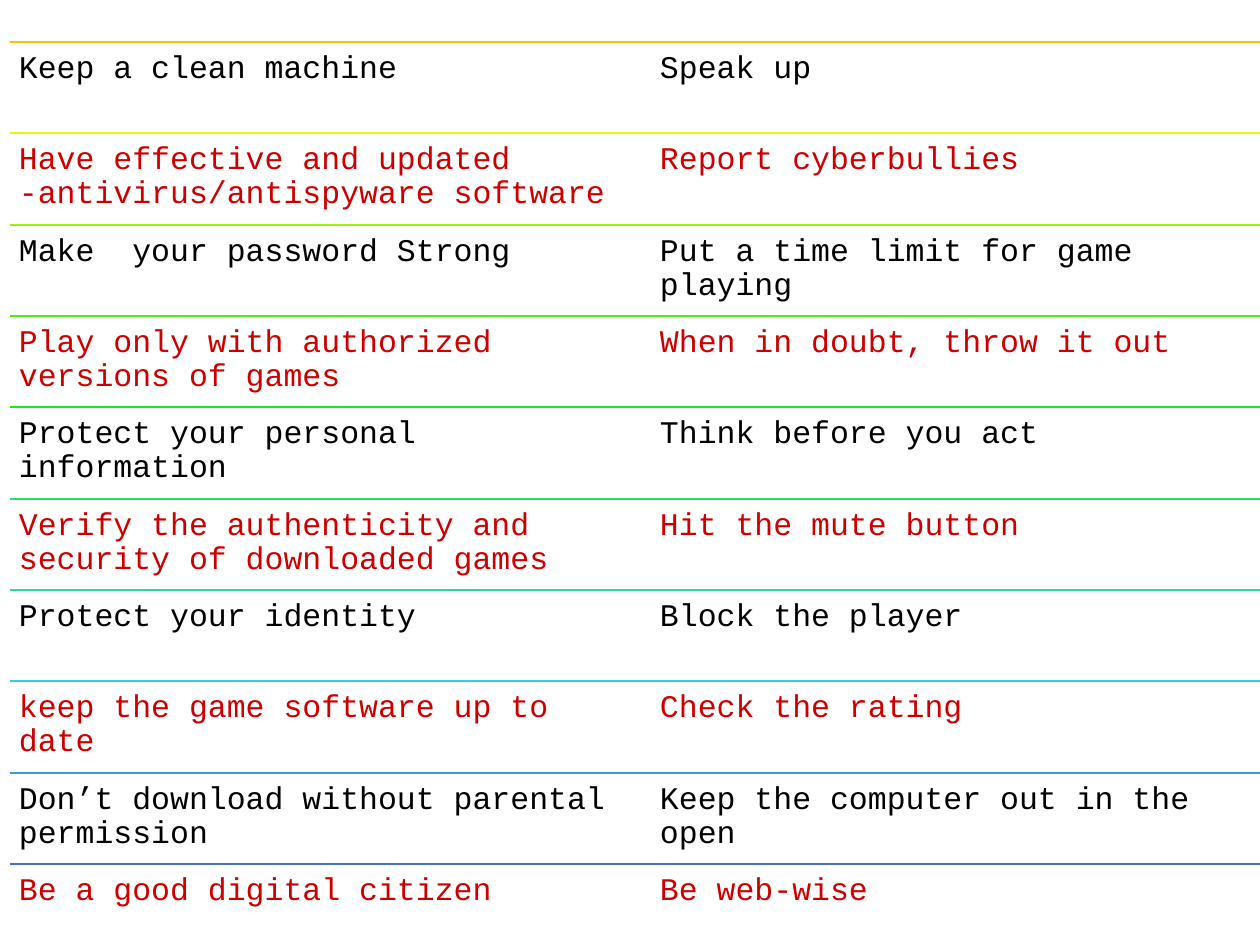
from dataclasses import dataclass

from lxml import etree
from pptx import Presentation
from pptx import util as u
from pptx.dml.color import RGBColor
from pptx.enum import shapes, text
from pptx.oxml.ns import qn
from pptx.shapes.group import GroupShape

PX = 914400 / 126
FIRST_TOP = 42
LAST_TOP = 864
ROW_HEIGHT = 91
INSET = 9
RULE_COLOURS = ["FFC000", "E6F808", "98F20F", "53EB17", "1FE426",
                "26DE68", "2ED7A1", "35D1D1", "3D9DCA", "4472C4"]
TEXT_COLOURS = ["000000", "CC0000"]


@dataclass
class TipColumn:
    """A column of safety tips with its horizontal extent in px."""
    left: int
    width: int
    tips: list[str]


COLUMNS = [
    TipColumn(10, 641, [
        "Keep a clean machine",
        "Have effective and updated -antivirus/antispyware software",
        "Make  your password Strong",
        "Play only with authorized versions of games",
        "Protect your personal information",
        "Verify the authenticity and security of downloaded games",
        "Protect your identity",
        "keep the game software up to date",
        "Don’t download without parental permission",
        "Be a good digital citizen",
    ]),
    TipColumn(651, 609, [
        "Speak up",
        "Report cyberbullies",
        "Put a time limit for game playing",
        "When in doubt, throw it out",
        "Think before you act",
        "Hit the mute button",
        "Block the player",
        "Check the rating",
        "Keep the computer out in the open",
        "Be web-wise",
    ]),
]


def px(length: int) -> u.Emu:
    """Convert px to EMU."""
    return u.Emu(round(length * PX))


def colour(value: str) -> RGBColor:
    """Turn a hex string into a colour."""
    return RGBColor.from_string(value)


def add_rule(group: GroupShape, left: int, top: int, width: int, line_colour: str) -> None:
    """Draw a thin horizontal rule without a shadow."""
    rule = group.shapes.add_connector(
        shapes.MSO_CONNECTOR.STRAIGHT, px(left), px(top), px(left + width), px(top))
    rule.line.color.rgb = colour(line_colour)
    rule.line.width = u.Pt(1)
    etree.SubElement(rule._element.spPr, qn("a:effectLst"))


def add_text(group: GroupShape, content: str, *, left: int, top: int, width: int,
             height: int, text_colour: str, size: int = 18,
             font: str = "Courier New") -> None:
    """Add a wrapped, top-anchored text box."""
    shape = group.shapes.add_textbox(px(left), px(top), px(width), px(height))
    frame = shape.text_frame
    frame.word_wrap = True
    frame.vertical_anchor = text.MSO_ANCHOR.TOP
    frame.margin_left = frame.margin_right = px(INSET)
    frame.margin_top = frame.margin_bottom = px(INSET)
    paragraph = frame.paragraphs[0]
    paragraph.line_spacing = 0.9
    run = paragraph.add_run()
    run.text = content
    run.font.name = font
    run.font.size = u.Pt(size)
    run.font.color.rgb = colour(text_colour)


def add_column(slide, column: TipColumn) -> None:
    """Draw one column as a group of ruled tips."""
    group = slide.shapes.add_group_shape()
    pitch = (LAST_TOP - FIRST_TOP) / (len(column.tips) - 1)
    for index, (tip, rule_colour) in enumerate(zip(column.tips, RULE_COLOURS)):
        top = round(FIRST_TOP + index * pitch)
        add_rule(group, column.left, top, column.width, rule_colour)
        add_text(group, tip, left=column.left, top=top, width=column.width,
                 height=ROW_HEIGHT, text_colour=TEXT_COLOURS[index % 2])


def main() -> None:
    """Build and save the slide."""
    presentation = Presentation()
    presentation.slide_width = px(1260)
    presentation.slide_height = px(945)
    slide = presentation.slides.add_slide(presentation.slide_layouts[6])
    for column in COLUMNS:
        add_column(slide, column)
    presentation.save("out.pptx")


if __name__ == "__main__":
    main()
